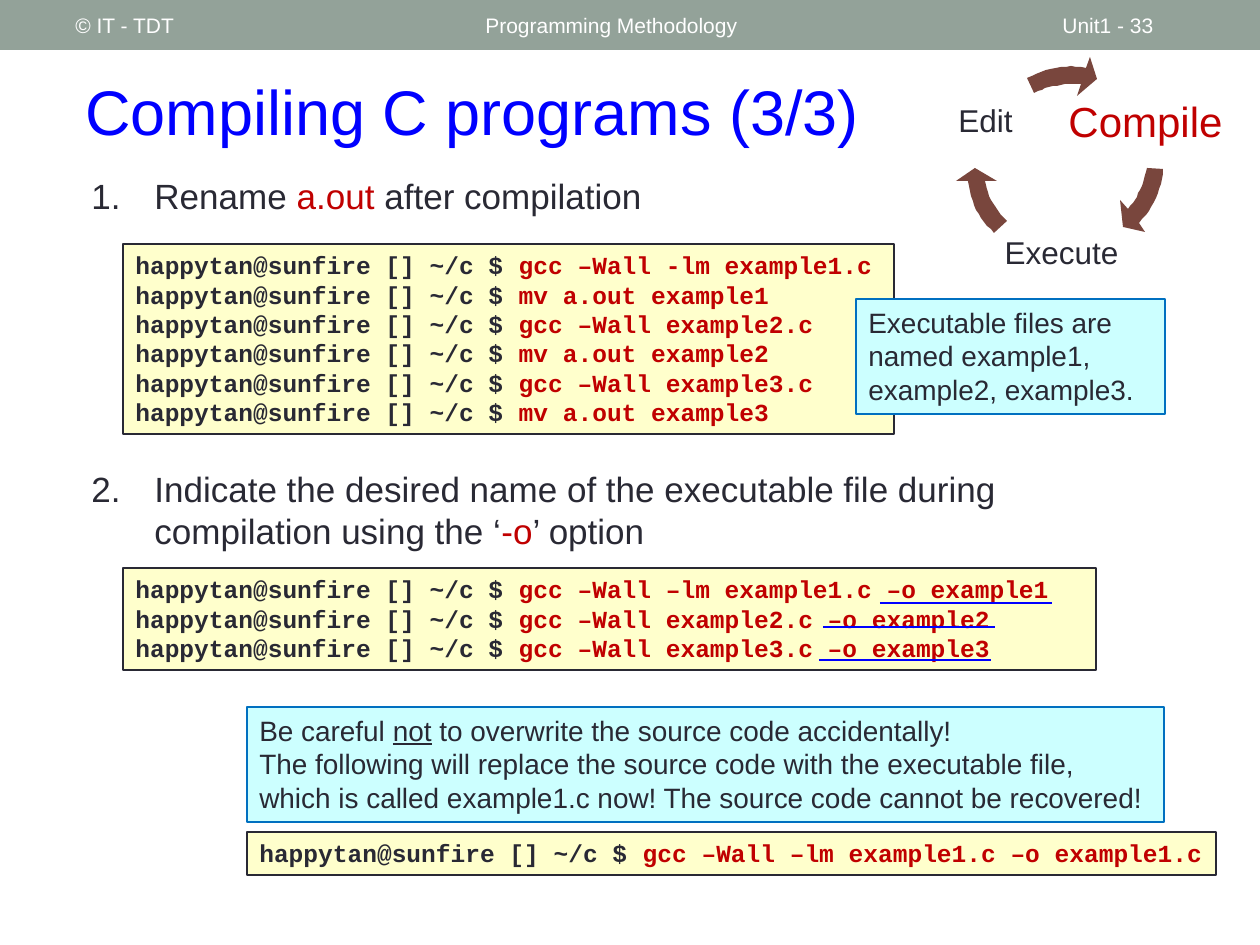
"""Build the slide on compiling and naming C programs."""
import pptx
import pptx.dml.color
import pptx.enum.shapes
import pptx.enum.text
import pptx.oxml
import pptx.oxml.ns
import pptx.util

RGB = pptx.dml.color.RGBColor
SHAPE = pptx.enum.shapes.MSO_SHAPE
ALIGN = pptx.enum.text.PP_ALIGN
ANCHOR = pptx.enum.text.MSO_ANCHOR
FIT = pptx.enum.text.MSO_AUTO_SIZE
SCALE = 914400 / 126

INK = RGB(0x29, 0x29, 0x34)
RED = RGB(0xC0, 0x00, 0x00)
BLUE = RGB(0x00, 0x00, 0xFF)
WHITE = RGB(0xFF, 0xFF, 0xFF)
SAGE = RGB(0x93, 0xA2, 0x99)
BROWN = RGB(0x79, 0x46, 0x3D)
CREAM = RGB(0xFF, 0xFF, 0xCC)
AQUA = RGB(0xCC, 0xFF, 0xFF)
TEAL = RGB(0x00, 0x70, 0xC0)
PROMPT = "happytan@sunfire [] ~/c $ "


def emu(px):
    """Turn px into EMU."""
    return pptx.util.Emu(round(px * SCALE))


def write(par, text, font="Arial", size=18, color=INK, bold=False, under=False):
    """Add one run of text to a paragraph."""
    run = par.add_run()
    run.text = text
    run.font.name = font
    run.font.size = pptx.util.Pt(size)
    run.font.color.rgb = color
    run.font.bold = bold
    run.font.underline = under


def bend(ends, steps=12):
    """Sample the cubic curve that four points define."""
    curve = []
    for step in range(steps + 1):
        t = step / steps
        parts = ((1 - t) ** 3, 3 * t * (1 - t) ** 2, 3 * t * t * (1 - t), t ** 3)
        curve.append(tuple(sum(w * p[axis] for w, p in zip(parts, ends))
                           for axis in (0, 1)))
    return curve


class Deck:
    """Hold the style and the current slide."""

    def __init__(self):
        """Open a deck with one blank slide."""
        self.show = pptx.Presentation()
        self.show.slide_width = emu(1260)
        self.show.slide_height = emu(945)
        self.slide = self.show.slides.add_slide(self.show.slide_layouts[6])
        self.shapes = self.slide.shapes

    def fill(self, shape, color, edge=None):
        """Give a shape a flat fill and a thin edge or none."""
        shape.shadow.inherit = False
        shape.fill.solid()
        shape.fill.fore_color.rgb = color
        if edge is None:
            shape.line.fill.background()
        else:
            shape.line.color.rgb = edge
            shape.line.width = pptx.util.Pt(0.75)

    def rect(self, box, color, edge=None):
        """Draw a filled rectangle."""
        shape = self.shapes.add_shape(SHAPE.RECTANGLE, *map(emu, box))
        self.fill(shape, color, edge)
        return shape

    def label(self, box, text, **style):
        """Place one line of text, centred in height."""
        frame = self.shapes.add_textbox(*map(emu, box)).text_frame
        frame.word_wrap = True
        frame.vertical_anchor = ANCHOR.MIDDLE
        write(frame.paragraphs[0], text, **style)
        return frame

    def stage(self, box, text, **style):
        """Place the name of one stage of the cycle."""
        frame = self.label(box, text, **style)
        frame.margin_left = frame.margin_right = emu(3)
        frame.margin_top = frame.margin_bottom = emu(3)
        frame.paragraphs[0].alignment = ALIGN.CENTER
        frame.paragraphs[0].line_spacing = 0.9

    def item(self, box, start, runs):
        """Place one numbered point."""
        frame = self.shapes.add_textbox(*map(emu, box)).text_frame
        frame.word_wrap = True
        par = frame.paragraphs[0]
        props = par._p.get_or_add_pPr()
        props.set("marL", str(emu(63)))
        props.set("indent", str(emu(-63)))
        space = pptx.oxml.ns.nsdecls("a")
        for xml in (f'<a:buClr {space}><a:srgbClr val="{INK}"/></a:buClr>',
                    f'<a:buFont {space} typeface="+mj-lt"/>',
                    f'<a:buAutoNum {space} type="arabicPeriod" startAt="{start}"/>'):
            props.append(pptx.oxml.parse_xml(xml))
        for text, color in runs:
            write(par, text, size=20, color=color)

    def panel(self, box, color, edge, rows):
        """Draw a framed box with rows of runs in it."""
        frame = self.rect(box, color, edge).text_frame
        frame.word_wrap = True
        frame.auto_size = FIT.SHAPE_TO_FIT_TEXT
        frame.vertical_anchor = ANCHOR.TOP
        for index, runs in enumerate(rows):
            par = frame.add_paragraph() if index else frame.paragraphs[0]
            par.alignment = ALIGN.LEFT
            for text, style in runs:
                write(par, text, **style)

    def code(self, box, calls):
        """Draw a terminal box with one command a row."""
        mono = dict(font="Courier New", size=14, bold=True)
        self.panel(box, CREAM, INK, [[(PROMPT, mono), (call, dict(mono, color=RED))]
                                     for call in calls])

    def note(self, box, rows):
        """Draw a remark box."""
        self.panel(box, AQUA, TEAL, [[(text, dict(size=16, under=under))
                                      for text, under in runs] for runs in rows])

    def arrow(self, points):
        """Draw a bent arrow: outer curve, head, inner curve."""
        path = bend(points[:4]) + points[4:7] + bend(points[7:])
        maker = self.shapes.build_freeform(*path[0], scale=SCALE)
        maker.add_line_segments(path[1:], close=True)
        self.fill(maker.convert_to_shape(), BROWN)

    def rule(self, left, right, top):
        """Draw a level blue line."""
        kind = pptx.enum.shapes.MSO_CONNECTOR.STRAIGHT
        line = self.shapes.add_connector(kind, *map(emu, (left, top, right, top)))
        line.line.color.rgb = BLUE
        line.line.width = pptx.util.Pt(1.5)
        space = pptx.oxml.ns.nsdecls("a")
        line._element.spPr.append(pptx.oxml.parse_xml(f"<a:effectLst {space}/>"))


def main():
    """Lay out the slide and save it."""
    deck = Deck()
    deck.rect((0, 0, 1260, 50), SAGE)
    for left, width, text in ((63, 399, "© IT - TDT"),
                              (473, 567, "Programming Methodology"),
                              (1050, 147, "Unit1 - 33")):
        deck.label((left, 3, width, 45), text, size=12, color=WHITE)
    deck.label((73, 63, 1124, 95), "Compiling C programs (3/3)", size=36, color=BLUE)

    deck.stage((1058, 78, 175, 91), "Compile", size=24, color=RED)
    deck.stage((999, 209, 125, 91), "Execute")
    deck.stage((940, 77, 91, 91), "Edit")
    for points in (
            [(1163, 169), (1162, 189), (1153, 208), (1139, 223), (1145, 232),
             (1123, 227), (1120, 200), (1128, 209), (1138, 198), (1144, 183), (1147, 168)],
            [(994, 233), (980, 219), (970, 202), (968, 181), (956, 181),
             (975, 168), (997, 181), (985, 181), (988, 197), (995, 210), (1007, 221)],
            [(1027, 78), (1045, 68), (1066, 64), (1086, 68), (1090, 57),
             (1097, 79), (1077, 96), (1081, 84), (1065, 83), (1049, 86), (1034, 93)]):
        deck.arrow(points)

    deck.item((79, 168, 898, 63), 1,
              [("Rename ", INK), ("a.out", RED), (" after compilation", INK)])
    deck.code((123, 244, 771, 190), [
        "gcc –Wall -lm example1.c", "mv a.out example1",
        "gcc –Wall example2.c", "mv a.out example2",
        "gcc –Wall example3.c", "mv a.out example3"])
    deck.item((79, 461, 1085, 107), 2, [
        ("Indicate the desired name of the executable file during "
         "compilation using the ‘", INK), ("-o", RED), ("’ option", INK)])
    deck.note((856, 299, 309, 115), [
        [("Executable files are named example1, example2, example3.", False)]])
    deck.code((123, 568, 973, 102), [
        "gcc –Wall –lm example1.c –o example1",
        "gcc –Wall example2.c –o example2",
        "gcc –Wall example3.c –o example3"])
    deck.note((247, 707, 917, 115), [
        [("Be careful ", False), ("not", True),
         (" to overwrite the source code accidentally!", False)],
        [("The following will replace the source code with the executable file, "
          "which is called example1.c now! The source code cannot be recovered!", False)]])
    deck.code((247, 832, 969, 43), ["gcc –Wall –lm example1.c –o example1.c"])
    for left, top in ((880, 603), (823, 627), (819, 660)):
        deck.rule(left, left + 172, top)
    deck.show.save("out.pptx")


if __name__ == "__main__":
    main()
